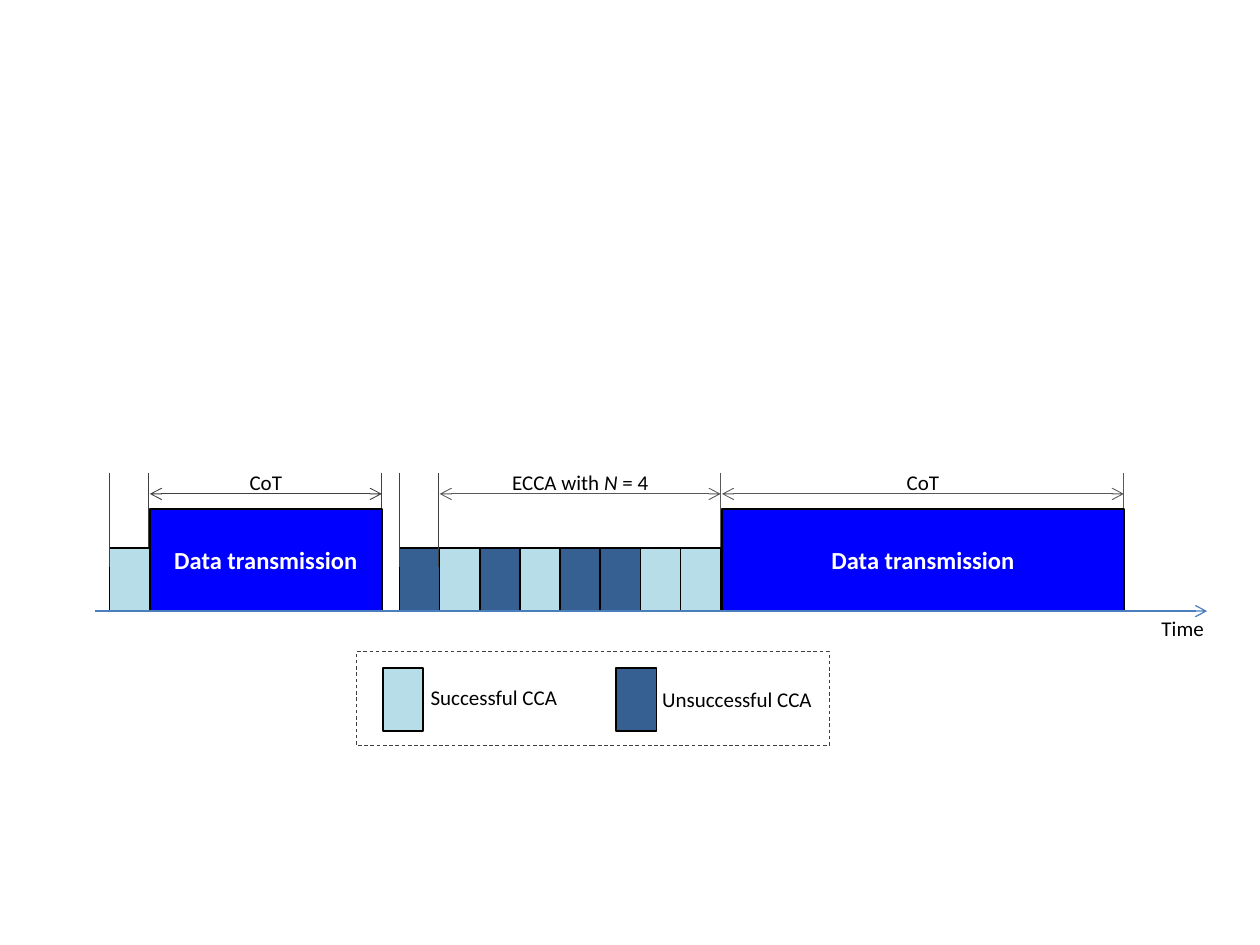
import pptx
import pptx.chart.data
import pptx.dml.color
import pptx.enum.dml
import pptx.enum.shapes
import pptx.enum.text
import pptx.oxml.ns
import pptx.util
from lxml import etree

Inches, Pt = pptx.util.Inches, pptx.util.Pt

THEME = {
    "font": "Calibri", "label": 12, "data": 14,
    "success": "B7DEE8", "failure": "376092", "burst": "0000FF",
    "ink": "000000", "light": "FFFFFF", "dark": "404040", "gray": "595959", "axis": "4B7EBC",
}

AXIS_Y, GUIDE_TOP, SPAN_Y = 4.85, 3.75, 3.92
SLOT_W, SLOT_H, BURST_H = 0.32, 0.5, 0.81
FIRST_CCA, ECCA_START, ECCA_END = 0.87, 3.17, 5.72
ECCA_SLOTS = ["failure", "success", "failure", "success", "failure", "failure", "success", "success"]
BURSTS = [(1.19, 3.03), (5.73, 8.92)]
BACK_GUIDES = [(1.18, 4.5, "dark"), (3.03, 4.5, "dark"), (5.72, 4.85, "gray"), (8.92, 4.5, "gray")]
FRONT_GUIDES = [(0.87, 4.5, "dark"), (3.17, 4.5, "dark"), (3.48, 4.5, "dark")]
SPANS = [
    (1.19, 3.03, "dark", [("CoT", False)]),
    (3.49, 5.72, "gray", [("ECCA with ", False), ("N", True), (" = 4", False)]),
    (5.73, 8.92, "gray", [("CoT", False)]),
]
LABEL_TOP, LABEL_H = 3.68, 0.3
LEGEND = (2.83, 5.17, 3.75, 0.75)
LEGEND_ITEMS = [
    (3.04, "success", "Successful CCA", 3.31, 5.38, 1.22),
    (4.89, "failure", "Unsuccessful CCA", 5.15, 5.4, 1.4),
]


def rgb(name):
    """Return a theme colour."""
    return pptx.dml.color.RGBColor.from_string(THEME[name])


def add_rect(s, x, y, w, h, fill=None, line="ink", width=1):
    """Add a plain rectangle."""
    sp = s.shapes.add_shape(pptx.enum.shapes.MSO_SHAPE.RECTANGLE, Inches(x), Inches(y), Inches(w), Inches(h))
    sp.shadow.inherit = False
    if fill:
        sp.fill.solid()
        sp.fill.fore_color.rgb = rgb(fill)
    else:
        sp.fill.background()
    sp.line.color.rgb = rgb(line)
    sp.line.width = Pt(width)
    return sp


def add_slot(s, x, kind, bottom=AXIS_Y):
    """Add one CCA slot standing on the given line."""
    add_rect(s, x, bottom - SLOT_H, SLOT_W, SLOT_H, kind)


def write(tf, runs, size, color, bold=False, align=pptx.enum.text.PP_ALIGN.CENTER):
    """Write one paragraph run by run."""
    p = tf.paragraphs[0]
    p.alignment = align
    for text, italic in runs:
        r = p.add_run()
        r.text = text
        r.font.name, r.font.size = THEME["font"], Pt(THEME[size])
        r.font.bold, r.font.italic = bold, italic
        r.font.color.rgb = rgb(color)


def add_label(s, x, y, w, runs, align=pptx.enum.text.PP_ALIGN.CENTER):
    """Add an unwrapped label."""
    tf = s.shapes.add_textbox(Inches(x), Inches(y), Inches(w), Inches(LABEL_H)).text_frame
    tf.word_wrap = False
    write(tf, runs, "label", "ink", align=align)


def add_line(s, x1, y1, x2, y2, color, width=0.5, ends=()):
    """Add a straight line with optional open arrowheads."""
    sp = s.shapes.add_connector(
        pptx.enum.shapes.MSO_CONNECTOR.STRAIGHT, Inches(x1), Inches(y1), Inches(x2), Inches(y2))
    sp.line.color.rgb = rgb(color)
    sp.line.width = Pt(width)
    for end in ends:
        etree.SubElement(sp.line._get_or_add_ln(), pptx.oxml.ns.qn("a:" + end), type="arrow")
    etree.SubElement(sp._element.spPr, pptx.oxml.ns.qn("a:effectLst"))


def add_guides(s, guides):
    """Add the vertical guide lines."""
    for x, bottom, color in guides:
        add_line(s, x, GUIDE_TOP, x, bottom, color)


def main():
    """Build the channel access timeline."""
    prs = pptx.Presentation()
    prs.slide_width, prs.slide_height = Inches(10), Inches(7.5)
    s = prs.slides.add_slide(prs.slide_layouts[6])

    add_guides(s, BACK_GUIDES)
    add_slot(s, FIRST_CCA, "success")
    pitch = (ECCA_END - ECCA_START) / len(ECCA_SLOTS)
    for i, kind in enumerate(ECCA_SLOTS):
        add_slot(s, ECCA_START + i * pitch, kind)
    for left, right in BURSTS:
        tf = add_rect(s, left, AXIS_Y - BURST_H, right - left, BURST_H, "burst").text_frame
        tf.vertical_anchor = pptx.enum.text.MSO_ANCHOR.MIDDLE
        tf.word_wrap = True
        write(tf, [("Data transmission", False)], "data", "light", bold=True)
    add_guides(s, FRONT_GUIDES)

    for left, right, color, runs in SPANS:
        add_line(s, left, SPAN_Y, right, SPAN_Y, color, ends=("headEnd", "tailEnd"))
        width = 1.3 if len(runs) > 1 else 0.46
        add_label(s, (left + right - width) / 2, LABEL_TOP, width, runs)
    add_line(s, 0.75, AXIS_Y, 9.58, AXIS_Y, "axis", 0.75, ("tailEnd",))
    add_label(s, 9.12, 4.84, 0.54, [("Time", False)], pptx.enum.text.PP_ALIGN.LEFT)

    frame = add_rect(s, *LEGEND, line="dark", width=0.5)
    frame.line.dash_style = pptx.enum.dml.MSO_LINE.DASH
    for x, kind, text, label_x, label_y, label_w in LEGEND_ITEMS:
        add_slot(s, x, kind, 5.8)
        add_label(s, label_x, label_y, label_w, [(text, False)])

    prs.save("out.pptx")


if __name__ == "__main__":
    main()
